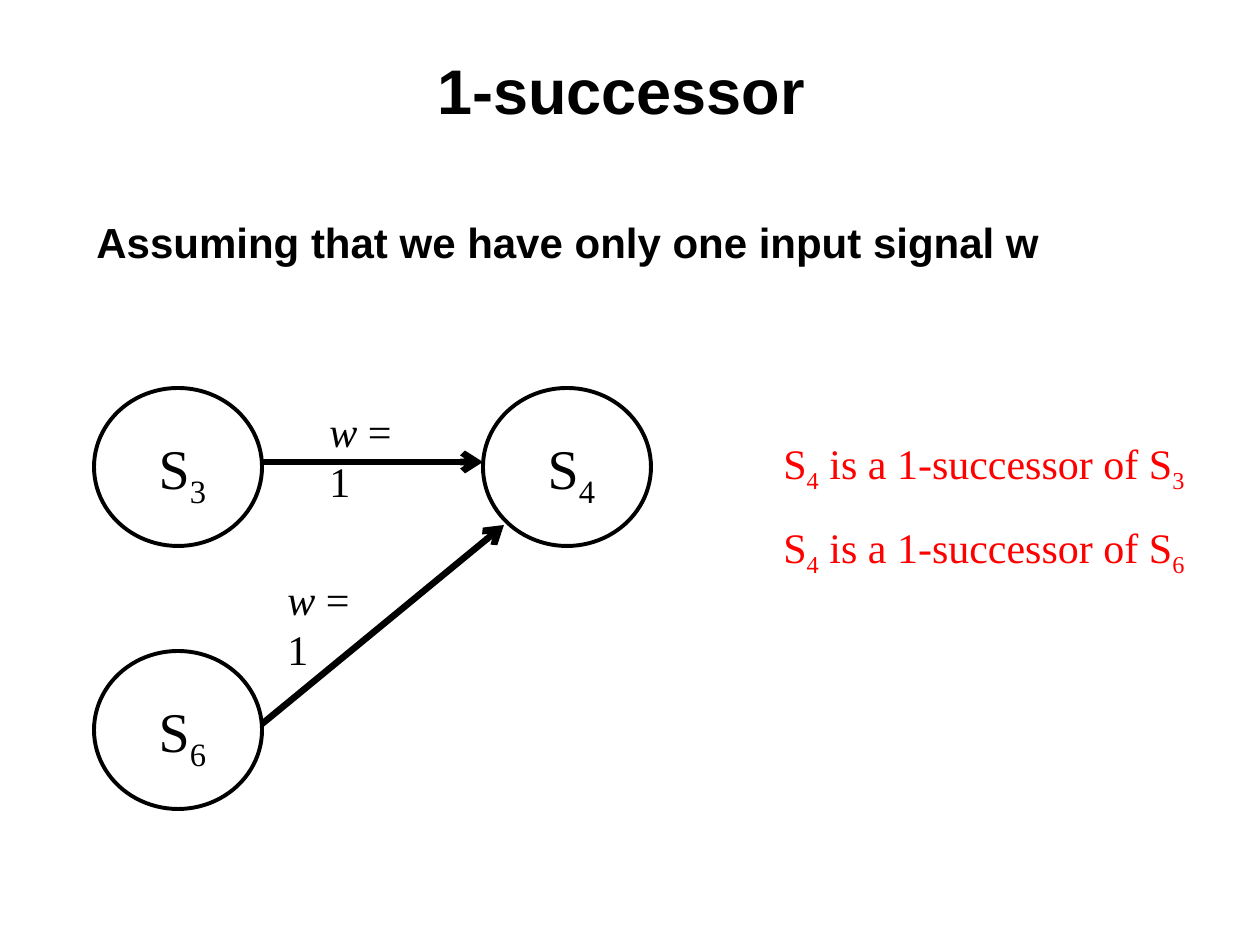
from dataclasses import dataclass
from lxml.etree import SubElement
from pptx import Presentation
from pptx.dml.color import RGBColor as RGB
from pptx.enum.shapes import MSO_CONNECTOR as LINK, MSO_SHAPE as SHAPE
from pptx.enum.text import MSO_ANCHOR as ANCHOR, PP_ALIGN as ALIGN
from pptx.oxml.ns import qn
from pptx.util import Emu, Pt


@dataclass(frozen=True)
class Theme:
    ink: RGB = RGB(0, 0, 0)
    paper: RGB = RGB(255, 255, 255)
    note: RGB = RGB(255, 0, 0)
    sans: str = "Arial"
    serif: str = "Times New Roman"
    title: int = 36
    body: int = 24
    state: int = 32
    ring: float = 2.25
    arrow: float = 3.75


THEME = Theme()
PX = 914400 // 126
SIZE = (1260, 945)
TITLE = ("1-successor ", (0, 42, 1260, 94))
LEAD = ("Assuming that we have only one input signal w", (84, 210, 1092, 84))
RING = (168, 158)
STATES = [("3", 94, 388), ("4", 483, 388), ("6", 94, 651)]
ARROWS = [(262, 462, 483, 462), (262, 724, 504, 525)]
LABELS = [(317, 399), (275, 567)]
NOTES = [("4", "3", 431), ("4", "6", 515)]
NOTE_X = 771


def px(*vals):
    return [Emu(val * PX) for val in vals]


def write(frame, runs, font, size, color, bold=False):
    para = frame.paragraphs[0]
    for text, style in runs:
        run = para.add_run()
        run.text = text
        face = run.font
        face.name, face.size, face.bold = font, Pt(size), bold
        face.color.rgb = color
        face.italic = style == "italic"
        if style == "sub":
            face._element.set("baseline", "-25000")
    return para


def add_text(slide, box, runs, font, size, color, bold=False, wrap=False):
    frame = slide.shapes.add_textbox(*px(*box)).text_frame
    frame.word_wrap = wrap
    para = write(frame, runs, font, size, color, bold)
    return frame, para


def add_state(slide, name, x, y):
    ring = slide.shapes.add_shape(SHAPE.OVAL, *px(x, y, *RING))
    ring.shadow.inherit = False
    ring.fill.solid()
    ring.fill.fore_color.rgb = THEME.paper
    ring.line.color.rgb = THEME.ink
    ring.line.width = Pt(THEME.ring)
    frame = ring.text_frame
    frame.word_wrap = False
    frame.vertical_anchor = ANCHOR.TOP
    frame.margin_left, frame.margin_top = px(40, 22)
    frame.margin_right = frame.margin_bottom = 0
    para = write(frame, [("S", ""), (name, "sub")], THEME.serif, THEME.state, THEME.ink)
    para.alignment = ALIGN.LEFT


def add_arrow(slide, ends):
    link = slide.shapes.add_connector(LINK.STRAIGHT, *px(*ends))
    link.line.color.rgb = THEME.ink
    link.line.width = Pt(THEME.arrow)
    SubElement(link.line._get_or_add_ln(), qn("a:tailEnd"), type="arrow")
    SubElement(link._element.spPr, qn("a:effectLst"))


def main():
    deck = Presentation()
    deck.slide_width, deck.slide_height = px(*SIZE)
    slide = deck.slides.add_slide(deck.slide_layouts[6])

    text, box = TITLE
    frame, para = add_text(slide, box, [(text, "")], THEME.sans, THEME.title,
                           THEME.ink, bold=True, wrap=True)
    frame.vertical_anchor = ANCHOR.MIDDLE
    para.alignment = ALIGN.CENTER
    text, box = LEAD
    frame, para = add_text(slide, box, [(text, "")], THEME.sans, THEME.body,
                           THEME.ink, bold=True, wrap=True)
    para.space_before = Pt(6)

    for state in STATES:
        add_state(slide, *state)
    for ends in ARROWS:
        add_arrow(slide, ends)
    for x, y in LABELS:
        add_text(slide, (x, y, 118, 63), [("w", "italic"), (" = 1", "")],
                 THEME.serif, THEME.body, THEME.ink)
    for head, tail, y in NOTES:
        runs = [("S", ""), (head, "sub"), (" is a 1-successor of S", ""), (tail, "sub")]
        add_text(slide, (NOTE_X, y, 426, 70), runs, THEME.serif, THEME.body, THEME.note)

    deck.save("out.pptx")


if __name__ == "__main__":
    main()
